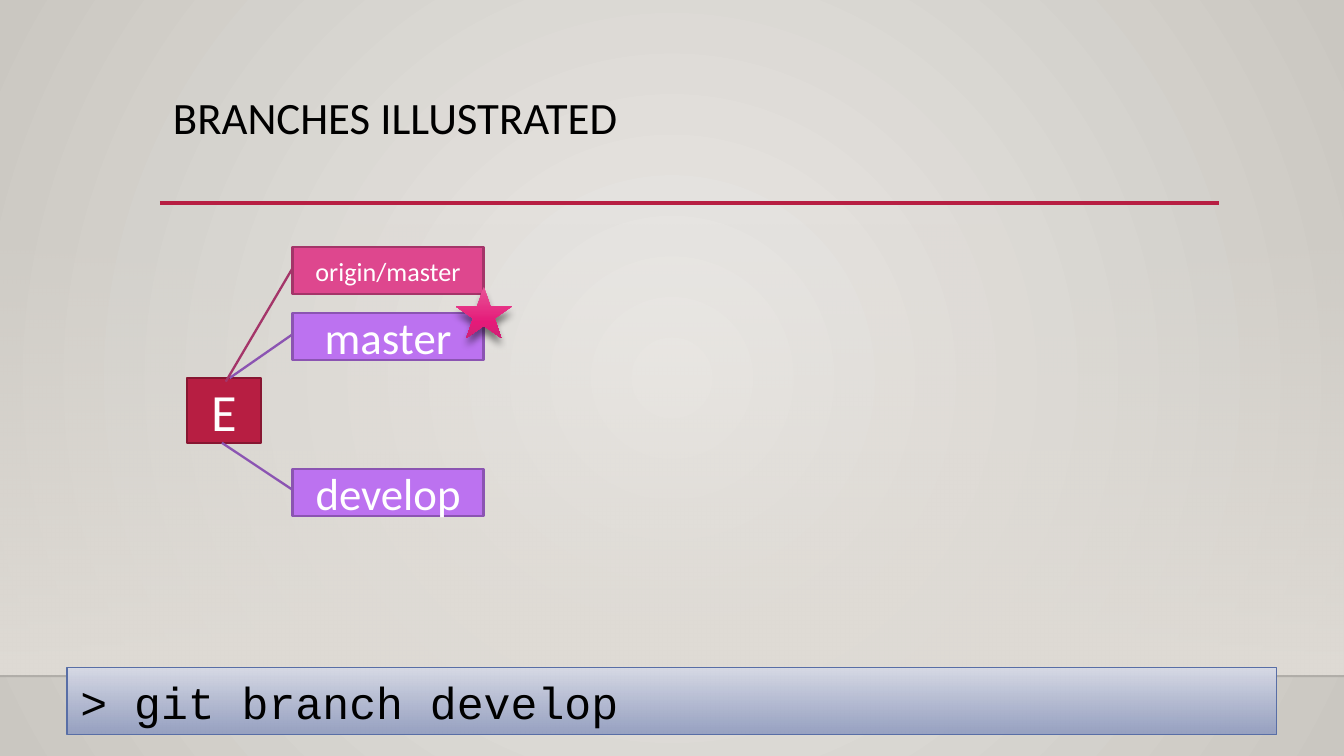
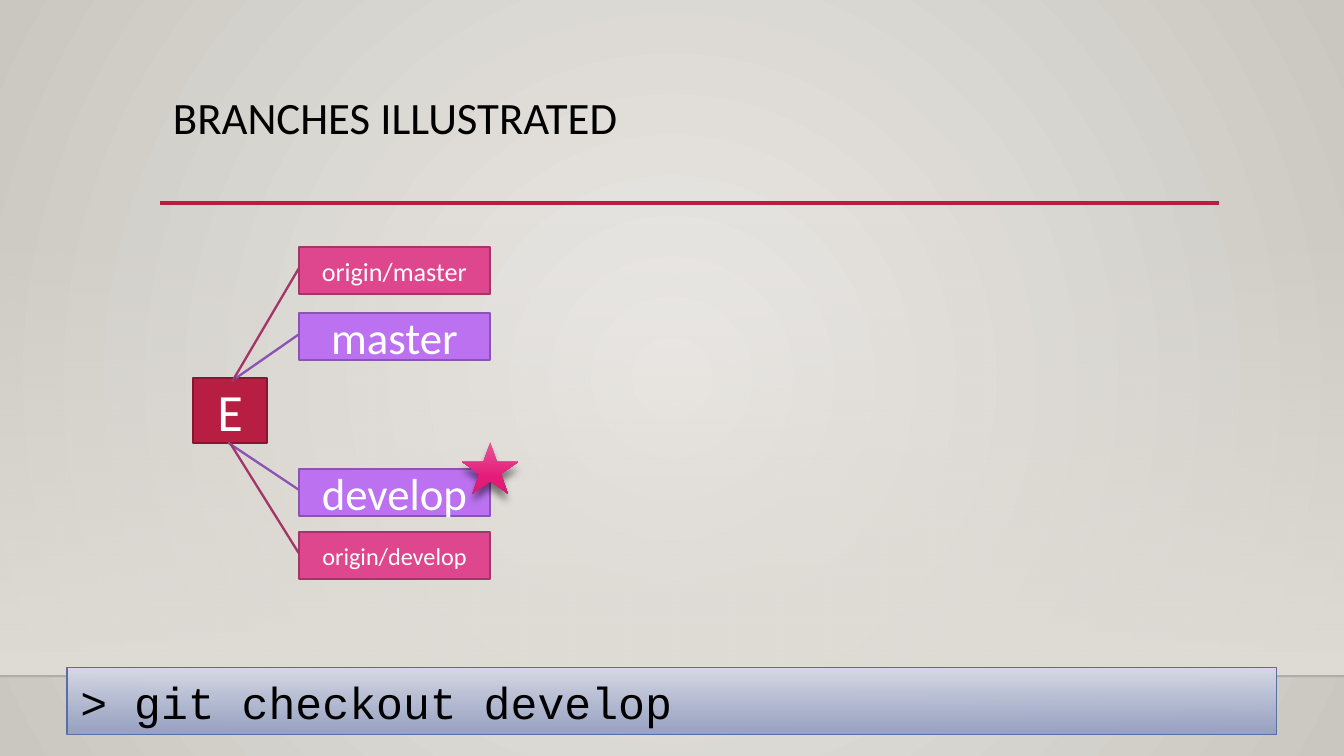
from lxml.etree import SubElement
from pptx import Presentation
from pptx.dml.color import RGBColor
from pptx.enum.shapes import MSO_CONNECTOR, MSO_SHAPE
from pptx.enum.text import MSO_ANCHOR, PP_ALIGN
from pptx.oxml.ns import qn
from pptx.util import Cm, Pt

BLACK = RGBColor(0x00, 0x00, 0x00)
WHITE = RGBColor(0xFF, 0xFF, 0xFF)
CRIMSON = RGBColor(0xB7, 0x1E, 0x42)
DARK_CRIMSON = RGBColor(0x87, 0x16, 0x31)
PURPLE = RGBColor(0xBC, 0x72, 0xF0)
DARK_PURPLE = RGBColor(0x8B, 0x54, 0xB2)
PINK = RGBColor(0xDE, 0x47, 0x8E)
DARK_PINK = RGBColor(0xA4, 0x35, 0x69)
STEEL = RGBColor(0x58, 0x6E, 0xA6)

# Gradient stops: position in percent, colour, opacity in percent
BACKDROP = [(0, RGBColor(0xEC, 0xEA, 0xE7), 100), (100, RGBColor(0xCA, 0xC7, 0xC1), 100)]
SAND = RGBColor(0xDF, 0xDB, 0xD5)
WALL = [(0, SAND, 0), (100, SAND, 100)]
CONSOLE = [(0, RGBColor(0xD6, 0xD9, 0xE5), 100), (100, RGBColor(0x92, 0x9D, 0xC0), 92)]
STAR = [(0, RGBColor(0xE7, 0x55, 0x97), 100), (69, RGBColor(0xE5, 0x1A, 0x79), 100),
        (100, RGBColor(0xCF, 0x23, 0x74), 100)]

TITLE_FONT = {"name": "Calibri", "size": Pt(24)}
COMMIT_FONT = {"name": "Calibri", "size": Pt(28)}
CONSOLE_FONT = {"name": "Courier New", "size": Pt(24)}

LOCAL = (PURPLE, DARK_PURPLE)
REMOTE = (PINK, DARK_PINK)
# Branch: top in cm, colours, text size, end of the leader line (y, x)
BRANCHES = {
    "master": (5.92, LOCAL, 24, (1.38, -0.33)),
    "origin/master": (4.67, REMOTE, 14, (2.86, -0.35)),
    "develop": (8.86, LOCAL, 24, (-0.55, -0.37)),
    "origin/develop": (10.06, REMOTE, 13, (-1.89, -0.36)),
}
# Command, left edge of the graph in cm, branches, checked-out branch
STEPS = [
    ("> git branch develop", 3.53, ["master", "origin/master", "develop"], "master"),
    ("> git checkout develop", 3.65, list(BRANCHES), "develop"),
]


def apply_gradient(fill, element, stops, radial=False):
    """Swap the fill for a gradient, downwards or outwards from the centre."""
    fill.solid()
    solid = next(element.iter(qn("a:solidFill")))
    parent = solid.getparent()
    gradient = SubElement(parent, qn("a:gradFill"), rotWithShape="1")
    stop_list = SubElement(gradient, qn("a:gsLst"))
    for position, color, opacity in stops:
        stop = SubElement(stop_list, qn("a:gs"), pos=str(position * 1000))
        rgb = SubElement(stop, qn("a:srgbClr"), val=str(color))
        SubElement(rgb, qn("a:alpha"), val=str(opacity * 1000))
    if radial:
        center = SubElement(gradient, qn("a:path"), path="circle")
        SubElement(center, qn("a:fillToRect"), l="50000", t="50000", r="50000", b="50000")
    else:
        SubElement(gradient, qn("a:lin"), ang="5400000", scaled="0")
    parent.replace(solid, gradient)


def add_box(slide, preset, box, fill, line=None, line_width=1.25, text="",
            font=None, color=WHITE, align=PP_ALIGN.CENTER, anchor=MSO_ANCHOR.MIDDLE):
    """Add a shape at box (cm); fill is a colour, a list of stops or None."""
    shape = slide.shapes.add_shape(preset, *(Cm(value) for value in box))
    shape.shadow.inherit = False
    if fill is None:
        shape.fill.background()
    elif isinstance(fill, list):
        apply_gradient(shape.fill, shape.element, fill)
    else:
        shape.fill.solid()
        shape.fill.fore_color.rgb = fill
    if line is None:
        shape.line.fill.background()
    else:
        shape.line.color.rgb = line
        shape.line.width = Pt(line_width)
    if text:
        shape.text_frame.word_wrap = True
        shape.text_frame.vertical_anchor = anchor
        paragraph = shape.text_frame.paragraphs[0]
        paragraph.text = text
        paragraph.alignment = align
        for name, value in font.items():
            setattr(paragraph.font, name, value)
        paragraph.font.color.rgb = color
    return shape


presentation = Presentation()
presentation.slide_width = Cm(25.4)
presentation.slide_height = Cm(14.29)

for command, graph_left, branch_names, current_branch in STEPS:
    slide = presentation.slides.add_slide(presentation.slide_layouts[6])
    apply_gradient(slide.background.fill, slide.element, BACKDROP, radial=True)
    add_box(slide, MSO_SHAPE.RECTANGLE, (0, 4.22, 25.4, 8.56), WALL)

    for left, right, top, color, width, opacity in [
        (0, 25.4, 12.78, BLACK, 1, 20),
        (3.02, 23.04, 3.84, CRIMSON, 2.5, 100),
    ]:
        rule = slide.shapes.add_connector(
            MSO_CONNECTOR.STRAIGHT, Cm(left), Cm(top), Cm(right), Cm(top))
        rule.line.color.rgb = color
        rule.line.width = Pt(width)
        rgb = next(rule.element.iter(qn("a:srgbClr")))
        SubElement(rgb, qn("a:alpha"), val=str(opacity * 1000))
        SubElement(rule.element.spPr, qn("a:effectLst"))

    title = add_box(slide, MSO_SHAPE.RECTANGLE, (3.02, 1.68, 20.02, 2.18), None,
                    text="BRANCHES ILLUSTRATED", font=TITLE_FONT, color=BLACK,
                    align=PP_ALIGN.LEFT, anchor=MSO_ANCHOR.TOP)
    title.text_frame.paragraphs[0].line_spacing = 0.9

    add_box(slide, MSO_SHAPE.RECTANGLE, (graph_left, 7.14, 1.4, 1.24),
            CRIMSON, DARK_CRIMSON, text="E", font=COMMIT_FONT)

    for branch_name in branch_names:
        top, (fill, line), size, leader_end = BRANCHES[branch_name]
        callout = add_box(slide, MSO_SHAPE.LINE_CALLOUT_1, (graph_left + 2, top, 3.61, 0.89),
                          fill, line, text=branch_name,
                          font={"name": "Calibri", "size": Pt(size)})
        for index, value in enumerate((0.45, 0, *leader_end)):
            callout.adjustments[index] = value

    add_box(slide, MSO_SHAPE.RECTANGLE, (1.27, 12.62, 22.86, 1.27), CONSOLE, STEEL, 0.75,
            command, CONSOLE_FONT, BLACK, PP_ALIGN.LEFT, MSO_ANCHOR.TOP)

    star_top = BRANCHES[current_branch][0] - 0.5
    star = add_box(slide, MSO_SHAPE.STAR_5_POINT, (graph_left + 5.08, star_top, 1.07, 0.97), STAR)
    effects = next(star.element.iter(qn("a:effectLst")))
    shadow = SubElement(effects, qn("a:outerShdw"), blurRad=str(Pt(4)), dist=str(Pt(4)),
                        dir="5400000", rotWithShape="0")
    shadow_color = SubElement(shadow, qn("a:srgbClr"), val=str(BLACK))
    SubElement(shadow_color, qn("a:alpha"), val="48000")

presentation.save("out.pptx")
